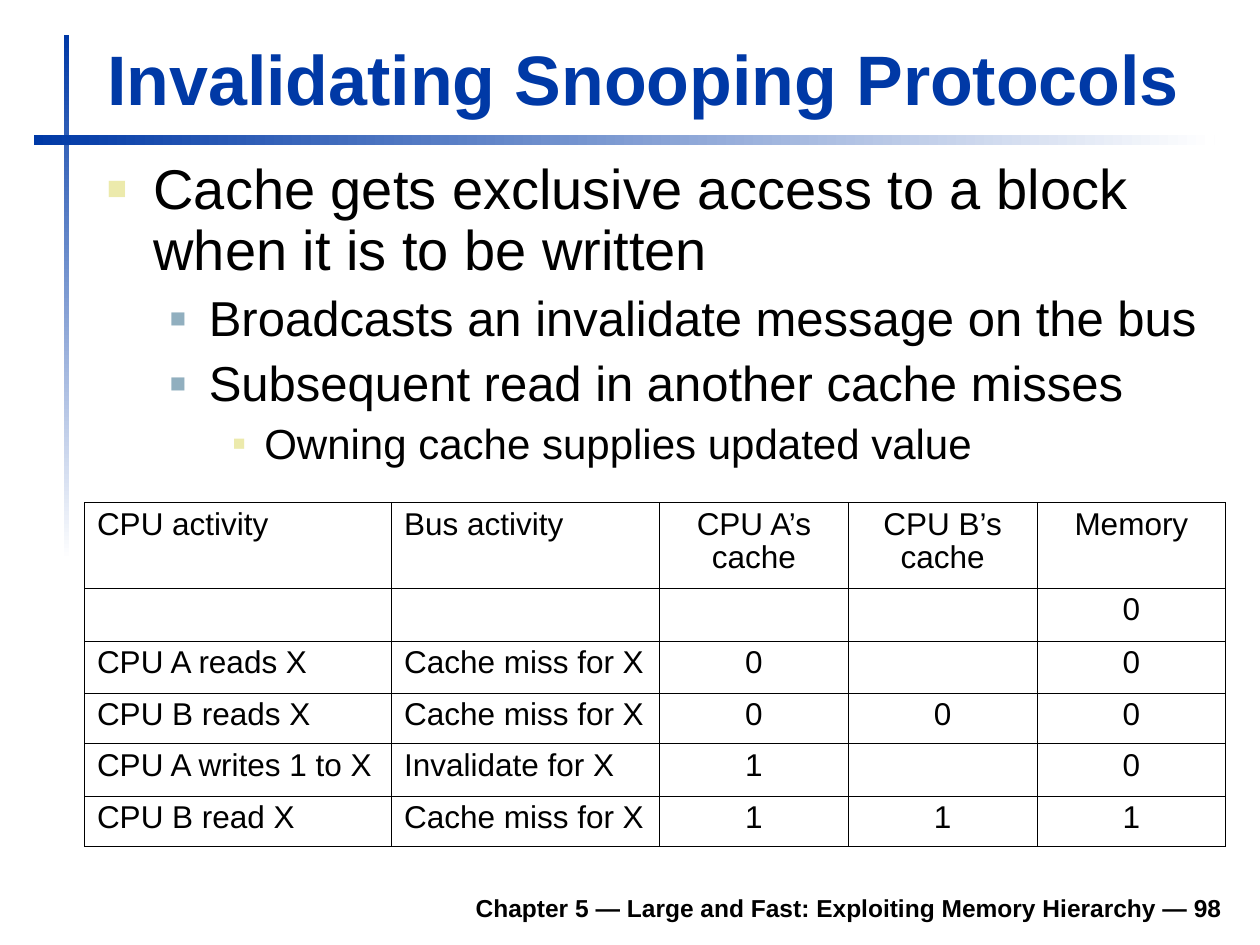
import pptx
import pptx.dml.color
import pptx.enum.shapes
import pptx.enum.text
import pptx.oxml
import pptx.oxml.ns
import pptx.util

COLORS = {
    "blue": "0039A6",
    "white": "FFFFFF",
    "black": "000000",
    "sand": "ECEAAC",
    "steel": "91AFBF",
}
FONT = "Arial"
ALIGN = pptx.enum.text.PP_ALIGN
ANCHOR = pptx.enum.text.MSO_ANCHOR
WIDTH, HEIGHT = pptx.util.Inches(10), pptx.util.Inches(7.5)

BULLET_LEVELS = [
    {"size": 32, "left": 0.37, "hanging": 0.37, "before": 8, "color": "sand", "scale": 60},
    {"size": 28, "left": 0.81, "hanging": 0.31, "before": 7, "color": "steel", "scale": 55},
    {"size": 24, "left": 1.25, "hanging": 0.25, "before": 6, "color": "sand", "scale": 50},
]
BULLETS = [
    (0, "Cache gets exclusive access to a block when it is to be written"),
    (1, "Broadcasts an invalidate message on the bus"),
    (1, "Subsequent read in another cache misses"),
    (2, "Owning cache supplies updated value"),
]
TABLE_ROWS = [
    ["CPU activity", "Bus activity", "CPU A’s cache", "CPU B’s cache", "Memory"],
    ["", "", "", "", "0"],
    ["CPU A reads X", "Cache miss for X", "0", "", "0"],
    ["CPU B reads X", "Cache miss for X", "0", "0", "0"],
    ["CPU A writes 1 to X", "Invalidate for X", "1", "", "0"],
    ["CPU B read X", "Cache miss for X", "1", "1", "1"],
]
COLUMN_WEIGHTS = [2.44, 2.13, 1.5, 1.5, 1.5]
ROW_WEIGHTS = [0.68, 0.42, 0.42, 0.4, 0.42, 0.4]


def rgb(name):
    return pptx.dml.color.RGBColor.from_string(COLORS[name])


def slide_box(left, top, width, height):
    return (
        int(left * WIDTH),
        int(top * HEIGHT),
        int(width * WIDTH),
        int(height * HEIGHT),
    )


def format_text(paragraph, size, color="black", bold=False):
    for run in paragraph.runs:
        run.font.name = FONT
        run.font.size = pptx.util.Pt(size)
        run.font.bold = bold
        run.font.color.rgb = rgb(color)


def add_title(slide, box):
    title = slide.shapes.title
    title.left, title.top, title.width, title.height = box
    frame = title.text_frame
    frame.text = "Invalidating Snooping Protocols"
    frame.word_wrap = True
    frame.auto_size = pptx.enum.text.MSO_AUTO_SIZE.NONE
    frame.vertical_anchor = ANCHOR.BOTTOM
    frame.paragraphs[0].alignment = ALIGN.LEFT
    format_text(frame.paragraphs[0], 40, "blue", True)


def add_fading_bar(slide, box, angle):
    bar = slide.shapes.add_shape(pptx.enum.shapes.MSO_SHAPE.RECTANGLE, *box)
    bar.shadow.inherit = False
    bar.line.fill.background()
    bar.fill.gradient()
    bar.fill.gradient_angle = angle
    for stop, position, color in zip(bar.fill.gradient_stops, (0, 1), ("blue", "white")):
        stop.position = position
        stop.color.rgb = rgb(color)


def add_bullet(paragraph, level):
    properties = paragraph._p.get_or_add_pPr()
    properties.set("marL", str(pptx.util.Inches(level["left"])))
    properties.set("indent", str(-pptx.util.Inches(level["hanging"])))
    namespace = pptx.oxml.ns.nsdecls("a")
    for markup in (
        f'<a:buClr {namespace}><a:srgbClr val="{COLORS[level["color"]]}"/></a:buClr>',
        f'<a:buSzPct {namespace} val="{level["scale"] * 1000}"/>',
        f'<a:buFont {namespace} typeface="{FONT}"/>',
        f'<a:buChar {namespace} char="■"/>',
    ):
        properties.append(pptx.oxml.parse_xml(markup))


def add_body(slide, box):
    frame = slide.shapes.add_textbox(*box).text_frame
    frame.word_wrap = True
    for index, (depth, text) in enumerate(BULLETS):
        paragraph = frame.add_paragraph() if index else frame.paragraphs[0]
        level = BULLET_LEVELS[depth]
        paragraph.text = text
        paragraph.level = depth
        paragraph.line_spacing = 0.9
        paragraph.space_before = pptx.util.Pt(level["before"] if index else 0)
        add_bullet(paragraph, level)
        format_text(paragraph, level["size"])


def set_borders(cell, widths):
    properties = cell._tc.get_or_add_tcPr()
    for index, (side, width) in enumerate(zip("LRTB", widths)):
        border = pptx.oxml.parse_xml(
            f'<a:ln{side} {pptx.oxml.ns.nsdecls("a")} w="{pptx.util.Pt(width)}">'
            f'<a:solidFill><a:srgbClr val="{COLORS["black"]}"/></a:solidFill></a:ln{side}>'
        )
        properties.insert(index, border)


def add_activity_table(slide, box):
    left, top, width, height = box
    row_count, column_count = len(TABLE_ROWS), len(COLUMN_WEIGHTS)
    table = slide.shapes.add_table(row_count, column_count, *box).table
    table.first_row = False
    table.horz_banding = False
    for column, weight in zip(table.columns, COLUMN_WEIGHTS):
        column.width = int(width * weight / sum(COLUMN_WEIGHTS))
    for row, weight in zip(table.rows, ROW_WEIGHTS):
        row.height = int(height * weight / sum(ROW_WEIGHTS))
    for row_index, texts in enumerate(TABLE_ROWS):
        for column_index, text in enumerate(texts):
            cell = table.cell(row_index, column_index)
            cell.fill.background()
            outer_edges = (
                column_index == 0,
                column_index == column_count - 1,
                row_index == 0,
                row_index == row_count - 1,
            )
            set_borders(cell, [0.5 if outer else 0.23 for outer in outer_edges])
            if text:
                cell.text_frame.text = text
                paragraph = cell.text_frame.paragraphs[0]
                paragraph.alignment = ALIGN.LEFT if column_index < 2 else ALIGN.CENTER
                paragraph.line_spacing = 0.93
                format_text(paragraph, 18)


def add_footer(slide, box):
    frame = slide.shapes.add_textbox(*box).text_frame
    frame.text = "Chapter 5 — Large and Fast: Exploiting Memory Hierarchy — 98"
    frame.word_wrap = True
    frame.vertical_anchor = ANCHOR.BOTTOM
    frame.paragraphs[0].alignment = ALIGN.RIGHT
    format_text(frame.paragraphs[0], 14, bold=True)


def main():
    presentation = pptx.Presentation()
    presentation.slide_width, presentation.slide_height = WIDTH, HEIGHT
    slide = presentation.slides.add_slide(presentation.slide_layouts.get_by_name("Title Only"))
    slide.background.fill.solid()
    slide.background.fill.fore_color.rgb = rgb("white")
    add_fading_bar(slide, slide_box(0.051, 0.28 / 7.5, 0.004, 4.17 / 7.5), 270)
    add_fading_bar(slide, slide_box(0.027, 1.07 / 7.5, 0.937, 0.08 / 7.5), 0)
    add_footer(slide, slide_box(0.185, 6.98 / 7.5, 0.795, 0.39 / 7.5))
    add_title(slide, slide_box(0.075, 0.23 / 7.5, 0.903, 0.77 / 7.5))
    add_body(slide, slide_box(0.075, 1.23 / 7.5, 0.904, 2.6 / 7.5))
    add_activity_table(slide, slide_box(0.067, 3.99 / 7.5, 0.906, 2.73 / 7.5))
    presentation.save("out.pptx")


if __name__ == "__main__":
    main()
